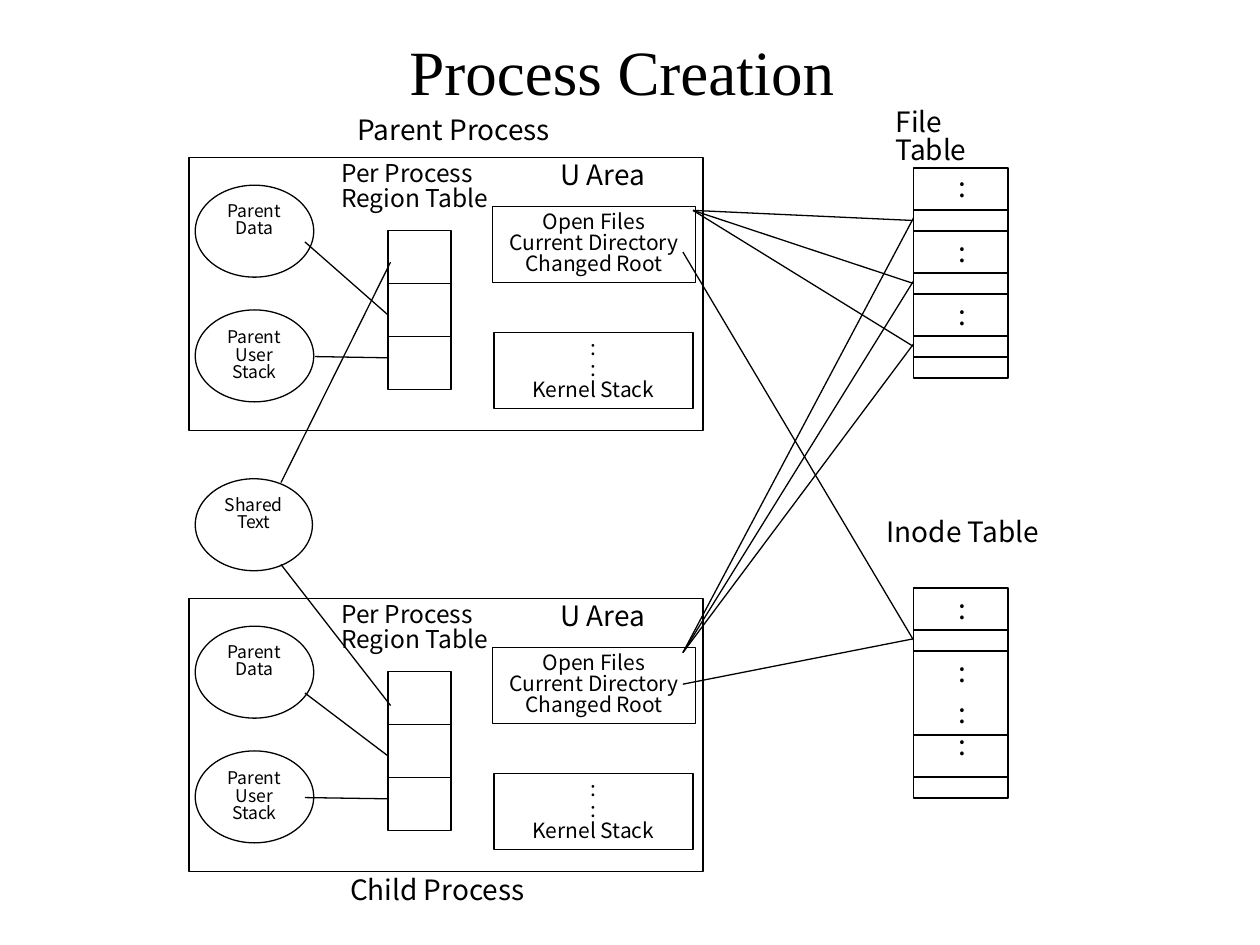
from dataclasses import dataclass
from itertools import accumulate
from typing import NamedTuple

from pptx import Presentation
from pptx.dml.color import RGBColor
from pptx.enum.shapes import MSO_CONNECTOR, MSO_SHAPE
from pptx.enum.text import MSO_ANCHOR, PP_ALIGN
from pptx.oxml.ns import qn
from pptx.util import Inches, Pt

RECTANGLE, OVAL = MSO_SHAPE.RECTANGLE, MSO_SHAPE.OVAL
STRAIGHT = MSO_CONNECTOR.STRAIGHT
TOP, MIDDLE = MSO_ANCHOR.TOP, MSO_ANCHOR.MIDDLE
LEFT, CENTER = PP_ALIGN.LEFT, PP_ALIGN.CENTER


@dataclass(frozen=True)
class Theme:
    ink: RGBColor = RGBColor(0, 0, 0)
    title_font: str = "Times New Roman"
    body_font: str = "Noto Sans CJK KR"
    title_size: float = 36
    label_size: float = 16
    region_size: float = 14
    box_size: float = 12
    oval_size: float = 10
    line_width: float = 0.75
    spacing: float = 0.82


class Box(NamedTuple):
    left: float
    top: float
    width: float
    height: float

    def shifted(self, down: float) -> "Box":
        return self._replace(top=self.top + down)


class Node(NamedTuple):
    box: Box
    text: str
    kind: int
    size: float
    margin_bottom: float = 0.05


class Label(NamedTuple):
    box: Box
    text: str
    size: float
    margin_right: float = 0


class StackedTable(NamedTuple):
    top: float
    rows: tuple
    dots: tuple


class Link(NamedTuple):
    start: tuple
    end: tuple


THEME = Theme()
ROW_UNIT = 1 / 6
CHILD_SHIFT = 3.5
SPARE_LINE = 0.21

PANEL = Box(1.5, 1.25, 4.08, 2.17)
REGION = Box(3.08, 1.83, 0.5, 0.42)
PROCESS_NODES = [
    Node(Box(3.92, 2.64, 1.58, 0.6), ":\n:\nKernel Stack", RECTANGLE, THEME.box_size),
    Node(Box(3.91, 1.64, 1.61, 0.6), "Open Files\nCurrent Directory\nChanged Root",
         RECTANGLE, THEME.box_size),
    Node(Box(1.55, 1.47, 0.94, 0.73), "Parent\nData", OVAL, THEME.oval_size, SPARE_LINE),
    Node(Box(1.55, 2.46, 0.94, 0.73), "Parent\nUser\nStack", OVAL, THEME.oval_size),
]
SHARED_TEXT = Node(Box(1.55, 3.8, 0.93, 0.73), "Shared\nText", OVAL,
                   THEME.oval_size, SPARE_LINE)
PROCESS_LABELS = [
    Label(Box(4.35, 1.25, 0.9, 0.32), "U Area", THEME.label_size),
    Label(Box(2.61, 1.25, 1.39, 0.49), "Per Process\nRegion Table", THEME.region_size),
]
SLIDE_LABELS = [
    Label(Box(2.74, 0.89, 1.75, 0.32), "Parent Process", THEME.label_size),
    Label(Box(2.68, 6.92, 1.59, 0.32), "Child Process", THEME.label_size),
    Label(Box(7.01, 0.83, 1.18, 0.32), "File Table", THEME.label_size, 0.3),
    Label(Box(6.94, 4.08, 1.43, 0.32), "Inode Table", THEME.label_size),
]
TABLES = [
    StackedTable(8 * ROW_UNIT, (2, 1, 2, 1, 2, 1, 1), (1.34, 1.86, 2.36)),
    StackedTable(28 * ROW_UNIT, (2, 1, 4, 2, 1), (4.69, 5.19, 5.52, 5.77)),
]
PARENT_FILES, CHILD_FILES = (5.5, 1.67), (5.42, 5.18)
FILE_ENTRIES = (1.75, 2.25, 2.75)
LINKS = [
    Link((3.1, 2.08), (2.23, 3.83)),
    Link((2.42, 1.92), (3.08, 2.5)),
    Link((2.5, 2.83), (3.08, 2.84)),
    Link((3.1, 5.6), (2.23, 4.48)),
    Link((2.42, 5.5), (3.08, 6)),
    Link((2.42, 6.33), (3.08, 6.34)),
    Link((5.42, 2), (7.25, 5.08)),
    Link((5.42, 5.43), (7.25, 5.07)),
    *[Link(PARENT_FILES, (7.25, entry)) for entry in FILE_ENTRIES],
    *[Link(CHILD_FILES, (7.25, entry - 0.02)) for entry in FILE_ENTRIES],
]


def write_text(shape, text: str, *, size: float, font: str = THEME.body_font,
               align=LEFT, anchor=TOP, spacing: float = THEME.spacing,
               margins: tuple = (0.1, 0.05, 0, 0.05)) -> None:
    frame = shape.text_frame
    frame.word_wrap = True
    frame.vertical_anchor = anchor
    (frame.margin_left, frame.margin_top,
     frame.margin_right, frame.margin_bottom) = map(Inches, margins)
    frame.text = text
    for paragraph in frame.paragraphs:
        paragraph.alignment = align
        paragraph.line_spacing = spacing
        paragraph.font.size = Pt(size)
        paragraph.font.name = font
        paragraph.font.color.rgb = THEME.ink


def draw_shape(canvas, kind: int, box: Box):
    shape = canvas.add_shape(kind, *map(Inches, box))
    shape.shadow.inherit = False
    shape.fill.background()
    shape.line.color.rgb = THEME.ink
    shape.line.width = Pt(THEME.line_width)
    return shape


def draw_node(canvas, node: Node, down: float = 0) -> None:
    shape = draw_shape(canvas, node.kind, node.box.shifted(down))
    write_text(shape, node.text, size=node.size, align=CENTER, anchor=MIDDLE,
               margins=(0, 0.05, 0, node.margin_bottom))


def draw_label(canvas, label: Label, down: float = 0) -> None:
    text_box = canvas.add_textbox(*map(Inches, label.box.shifted(down)))
    write_text(text_box, label.text, size=label.size,
               margins=(0.1, 0.05, label.margin_right, 0.05))


def draw_process(canvas, down: float) -> None:
    draw_shape(canvas, RECTANGLE, PANEL.shifted(down))
    for node in PROCESS_NODES:
        draw_node(canvas, node, down)
    regions = canvas.add_group_shape().shapes
    for index in range(3):
        draw_shape(regions, RECTANGLE, REGION.shifted(down + index * REGION.height))
    for label in PROCESS_LABELS:
        draw_label(canvas, label, down)


def draw_stacked_table(canvas, table: StackedTable) -> None:
    for rows, end in zip(table.rows, accumulate(table.rows)):
        top = table.top + (end - rows) * ROW_UNIT
        draw_shape(canvas, RECTANGLE, Box(7.25, top, 0.75, rows * ROW_UNIT))
    for top in table.dots:
        text_box = canvas.add_textbox(*map(Inches, Box(7.51, top, 0.26, 0.32)))
        write_text(text_box, ":", size=THEME.label_size, align=CENTER, anchor=MIDDLE,
                   margins=(0, 0.05, 0, 0.05))


def draw_link(canvas, link: Link) -> None:
    connector = canvas.add_connector(STRAIGHT, *map(Inches, link.start + link.end))
    connector.line.color.rgb = THEME.ink
    connector.line.width = Pt(THEME.line_width)
    properties = connector._element.spPr
    properties.append(properties.makeelement(qn("a:effectLst"), {}))


def main() -> None:
    presentation = Presentation()
    presentation.slide_width, presentation.slide_height = Inches(10), Inches(7.5)
    slide = presentation.slides.add_slide(presentation.slide_layouts[6])
    canvas = slide.shapes
    title = canvas.add_textbox(*map(Inches, Box(1.25, 0.16, 8, 0.84)))
    write_text(title, "Process Creation", size=THEME.title_size, font=THEME.title_font,
               anchor=MIDDLE, spacing=0.98, margins=(2, 0, 0, 0))
    for down in (0, CHILD_SHIFT):
        draw_process(canvas, down)
    draw_node(canvas, SHARED_TEXT)
    for label in SLIDE_LABELS:
        draw_label(canvas, label)
    for table in TABLES:
        draw_stacked_table(canvas, table)
    for link in LINKS:
        draw_link(canvas, link)
    presentation.save("out.pptx")


if __name__ == "__main__":
    main()
